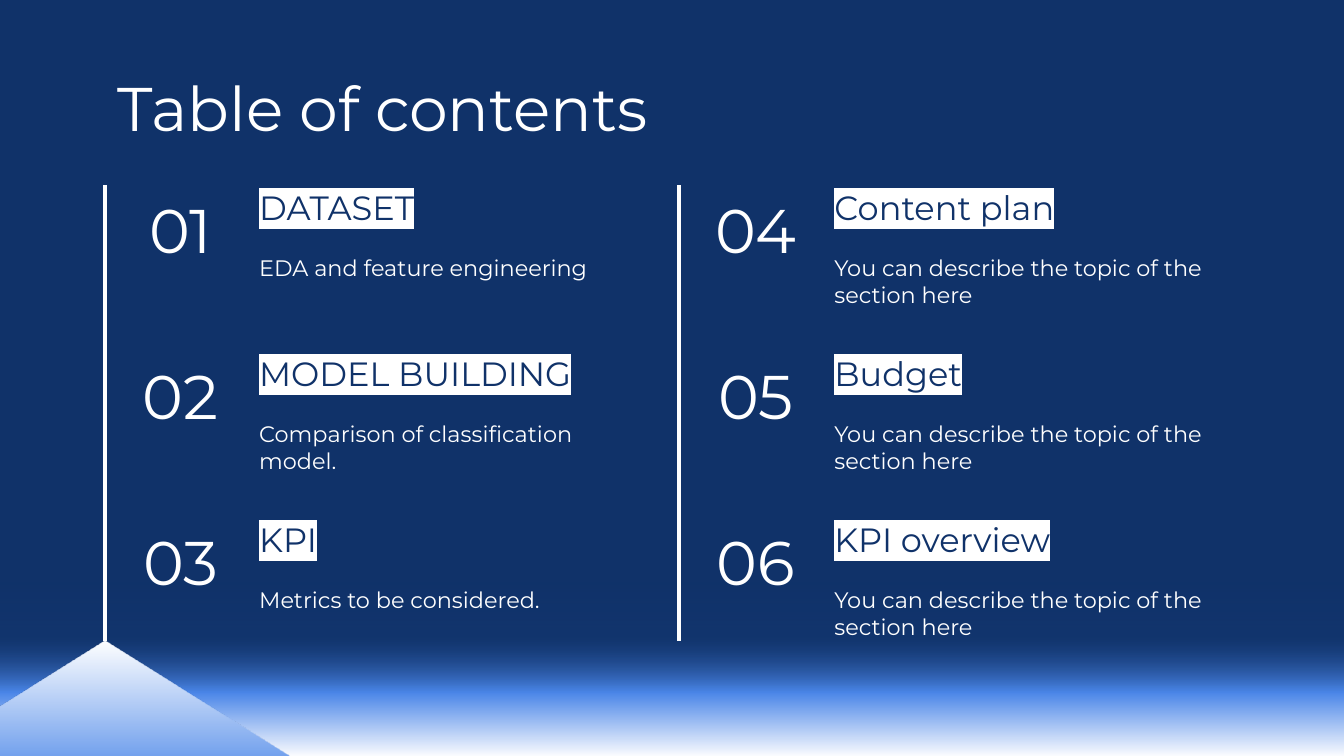
from dataclasses import dataclass

from lxml.etree import SubElement
from pptx import Presentation
from pptx.dml.color import RGBColor
from pptx.enum.shapes import MSO_CONNECTOR, MSO_SHAPE
from pptx.enum.text import MSO_ANCHOR, PP_ALIGN
from pptx.oxml.ns import qn
from pptx.util import Inches, Pt


@dataclass(frozen=True)
class Theme:
    font: str = "Montserrat"
    navy: str = "103269"
    white: str = "FFFFFF"
    # Gradient stops: position %, colour, opacity %
    glow: tuple = (
        (0, "1C4587", 0),
        (32, "1C4587", 15),
        (63, "4A86E8", 100),
        (100, "FFFFFF", 100),
    )
    display_size: int = 33
    heading_size: int = 18
    body_size: int = 12
    line_width: float = 2.25


THEME = Theme()

FILLER = "You can describe the topic of the section here"
SECTIONS = [
    ("DATASET", "EDA and feature engineering"),
    ("MODEL BUILDING", "Comparison of classification model."),
    ("KPI", "Metrics to be considered."),
    ("Content plan", FILLER),
    ("Budget", FILLER),
    ("KPI overview", FILLER),
]
ROWS = 3
FIRST_LEFT, COLUMN_STEP = 0.86, 4.28
FIRST_TOP, LAST_TOP = 1.33, 3.8
ROW_STEP = (LAST_TOP - FIRST_TOP) / (ROWS - 1)
NUMBER_WIDTH = 0.97
TEXT_WIDTH = 3.11
HEADING_HEIGHT = 0.46
PEAK_LENGTH, PEAK_WIDTH, PEAK_TIP = 3, 3.29, 1.03


def add_text(slide, text, left, top, width, height, *, size, color=THEME.white,
             highlight=None, align=PP_ALIGN.LEFT, anchor=MSO_ANCHOR.TOP):
    box = slide.shapes.add_textbox(
        Inches(left), Inches(top), Inches(width), Inches(height))
    frame = box.text_frame
    frame.word_wrap = True
    frame.vertical_anchor = anchor
    frame.margin_left = frame.margin_right = Inches(0.1)
    frame.margin_top = frame.margin_bottom = Inches(0.1)
    paragraph = frame.paragraphs[0]
    paragraph.alignment = align
    run = paragraph.add_run()
    run.text = text
    run.font.size = Pt(size)
    run.font.name = THEME.font
    run.font.color.rgb = RGBColor.from_string(color)
    if highlight:
        properties = run.font._element
        mark = SubElement(properties, qn("a:highlight"))
        SubElement(mark, qn("a:srgbClr"), val=highlight)
        properties.find(qn("a:solidFill")).addnext(mark)


def add_glow_shape(slide, kind, left, top, width, height, *, angle, rotation=0):
    shape = slide.shapes.add_shape(
        kind, Inches(left), Inches(top), Inches(width), Inches(height))
    shape.shadow.inherit = False
    shape.line.fill.background()
    shape.rotation = rotation

    # Gradient with transparent stops
    properties = shape._element.spPr
    gradient = SubElement(properties, qn("a:gradFill"), rotWithShape="1")
    stops = SubElement(gradient, qn("a:gsLst"))
    for position, color, opacity in THEME.glow:
        stop = SubElement(stops, qn("a:gs"), pos=str(position * 1000))
        tint = SubElement(stop, qn("a:srgbClr"), val=color)
        if opacity < 100:
            SubElement(tint, qn("a:alpha"), val=str(opacity * 1000))
    SubElement(gradient, qn("a:lin"), ang=str(angle * 60000), scaled="0")
    properties.find(qn("a:prstGeom")).addnext(gradient)
    return shape


def add_divider(slide, x, top, bottom):
    line = slide.shapes.add_connector(
        MSO_CONNECTOR.STRAIGHT, Inches(x), Inches(top), Inches(x), Inches(bottom))
    line.line.color.rgb = RGBColor.from_string(THEME.white)
    line.line.width = Pt(THEME.line_width)
    SubElement(line._element.spPr, qn("a:effectLst"))


def add_section(slide, index, heading, description):
    column, row = divmod(index, ROWS)
    left = FIRST_LEFT + column * COLUMN_STEP
    top = FIRST_TOP + row * ROW_STEP
    text_left = left + NUMBER_WIDTH
    add_text(slide, description, text_left, top + HEADING_HEIGHT, TEXT_WIDTH, 0.52,
             size=THEME.body_size)
    add_text(slide, f"{index + 1:02d}", left, top, NUMBER_WIDTH, 0.75,
             size=THEME.display_size, align=PP_ALIGN.CENTER)
    add_text(slide, heading, text_left, top, TEXT_WIDTH, HEADING_HEIGHT,
             size=THEME.heading_size, color=THEME.navy, highlight=THEME.white,
             anchor=MSO_ANCHOR.BOTTOM)


def main():
    # Widescreen 16:9 page
    presentation = Presentation()
    presentation.slide_width = Inches(10)
    presentation.slide_height = Inches(10 * 9 / 16)
    slide = presentation.slides.add_slide(presentation.slide_layouts[6])

    # Background and horizon glow
    background = slide.background.fill
    background.solid()
    background.fore_color.rgb = RGBColor.from_string(THEME.navy)
    add_glow_shape(slide, MSO_SHAPE.RECTANGLE, 0, 4.33, 10, 1.3, angle=90)

    # Title and numbered sections
    add_text(slide, "Table of contents", 0.78, 0.35, 8.44, 0.89,
             size=THEME.display_size, anchor=MSO_ANCHOR.MIDDLE)
    for index, (heading, description) in enumerate(SECTIONS):
        add_section(slide, index, heading, description)

    # Mountain peak, pointing up
    peak = add_glow_shape(slide, MSO_SHAPE.PENTAGON, -0.72, 4.62,
                          PEAK_LENGTH, PEAK_WIDTH, angle=0, rotation=270)
    peak.adjustments[0] = PEAK_TIP / PEAK_LENGTH

    # Column dividers
    for x in (5.05, 0.78):
        add_divider(slide, x, 1.38, 4.77)

    presentation.save("out.pptx")


if __name__ == "__main__":
    main()
